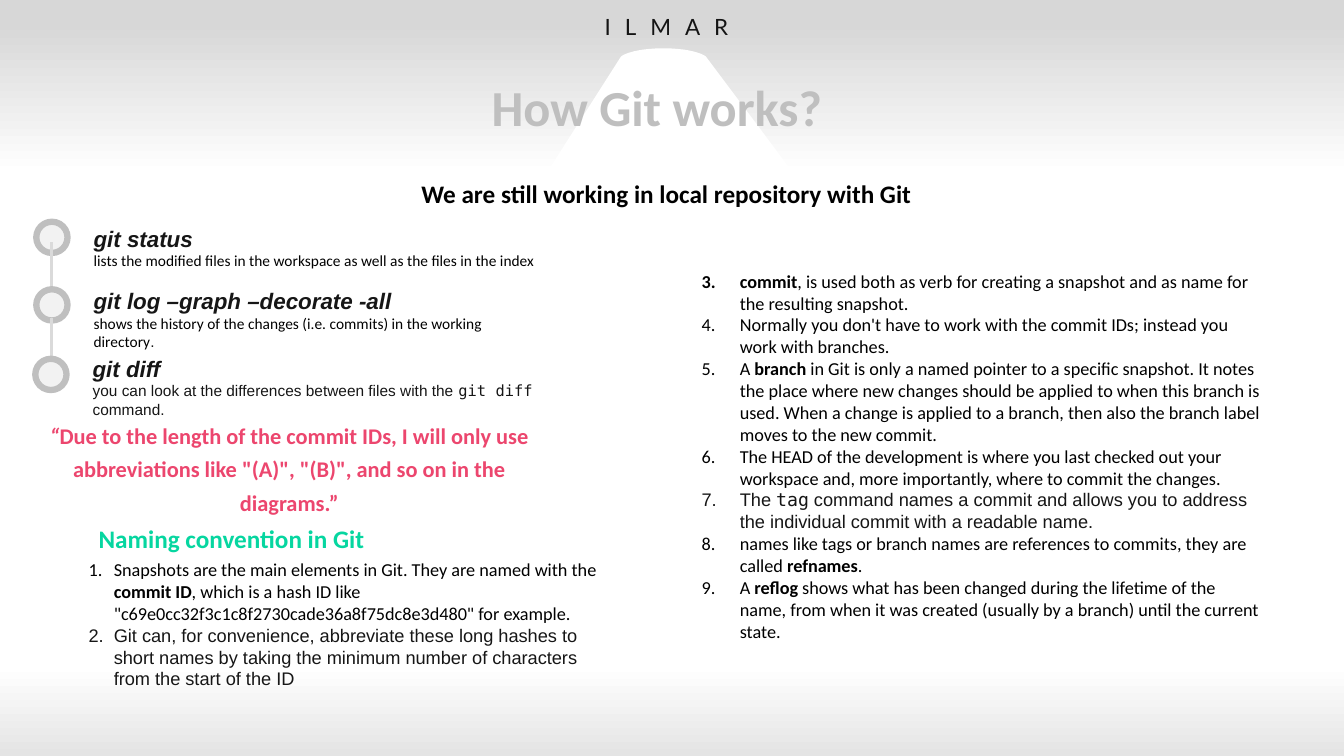
from lxml.etree import SubElement
from pptx import Presentation
from pptx.dml.color import RGBColor
from pptx.enum.shapes import MSO_CONNECTOR as CONN, MSO_SHAPE as SHAPE
from pptx.enum.text import MSO_ANCHOR as ANCHOR, MSO_AUTO_SIZE as FIT, PP_ALIGN as ALIGN
from pptx.oxml.ns import qn
from pptx.util import Inches, Pt

MONO = "DejaVu Sans Mono"
DARK, BLACK, PALE, GREY = "161616", "000000", "DADADA", "BFBFBF"

# Run styles
PLAIN = dict(font="Calibri", color=BLACK)
BOLD = dict(PLAIN, bold=True)
SANS = dict(font="Arial", color=DARK)
CODE = dict(font=MONO, color=DARK)
COMMAND = dict(SANS, size=16, bold=True, italic=True)
QUOTE = dict(font="Calibri", color="EC466E", bold=True)


def rgb(value):
    return RGBColor.from_string(value)


class Deck:
    def __init__(self, prs):
        self.s = prs.slides.add_slide(prs.slide_layouts[5])

    def background(self, stops):
        fill = self.s.background.fill
        fill.gradient()
        fill.gradient_angle = 270
        gs_lst = self.s._element.find(".//" + qn("a:gsLst"))
        for gs in list(gs_lst):
            gs_lst.remove(gs)
        for pos, color in stops:
            gs = SubElement(gs_lst, qn("a:gs"), pos=str(pos * 1000))
            SubElement(gs, qn("a:srgbClr"), val=color)

    def style(self, sp, fill, line=None, width=0):
        sp.shadow.inherit = False
        sp.fill.solid()
        sp.fill.fore_color.rgb = rgb(fill)
        if line:
            sp.line.color.rgb = rgb(line)
            sp.line.width = Pt(width)
        else:
            sp.line.fill.background()

    def outline(self, points, fill):
        pts = [(Inches(x), Inches(y)) for x, y in points]
        fb = self.s.shapes.build_freeform(*pts[0])
        fb.add_line_segments(pts[1:], close=True)
        self.style(fb.convert_to_shape(), fill)

    def ring(self, x, y, size):
        sp = self.s.shapes.add_shape(SHAPE.OVAL, *map(Inches, (x, y, size, size)))
        self.style(sp, "F2F2F2", GREY, 4.5)

    def line(self, x, y1, y2):
        c = self.s.shapes.add_connector(CONN.STRAIGHT, *map(Inches, (x, y1, x, y2)))
        c.line.color.rgb = rgb(PALE)
        c.line.width = Pt(2.25)
        SubElement(c._element.spPr, qn("a:effectLst"))

    def title(self, x, y, w, h, text, **fmt):
        sp = self.s.shapes.title
        self.s.shapes._spTree.append(sp._element)
        sp.left, sp.top, sp.width, sp.height = map(Inches, (x, y, w, h))
        self.fill_text(sp.text_frame, [[(text, fmt)]], align=ALIGN.CENTER)
        return sp.text_frame.paragraphs[0].runs[0]

    def text(self, x, y, w, h, paras, **fmt):
        sp = self.s.shapes.add_textbox(*map(Inches, (x, y, w, h)))
        self.fill_text(sp.text_frame, paras, **fmt)

    def fill_text(self, tf, paras, size=None, align=None, spacing=None,
                  left=0, right=0, hang=0, start=None):
        tf.word_wrap = True
        tf.auto_size = FIT.SHAPE_TO_FIT_TEXT
        tf.vertical_anchor = ANCHOR.TOP
        for i, runs in enumerate(paras):
            p = tf.paragraphs[0] if i == 0 else tf.add_paragraph()
            pPr = p._p.get_or_add_pPr()
            for key, value in (("marL", left), ("marR", right), ("indent", -hang)):
                if value:
                    pPr.set(key, str(Inches(value)))
            if start:
                SubElement(pPr, qn("a:buAutoNum"), type="arabicPeriod", startAt=str(start))
            if align:
                p.alignment = align
            if spacing:
                p.line_spacing = spacing
            for text, fmt in runs:
                self.run(p, text, **{"size": size, **fmt})

    def run(self, p, text, size, font, color, bold=False, italic=False, track=0):
        r = p.add_run()
        r.text = text
        f = r.font
        f.size, f.name, f.bold, f.italic = Pt(size), font, bold, italic
        f.color.rgb = rgb(color)
        if track:
            r._r.get_or_add_rPr().set("spc", str(track * 100))


def bezier(a, b, c, d, steps=12):
    for i in range(1, steps + 1):
        t = i / steps
        u = 1 - t
        yield tuple(u**3 * j + 3 * u * u * t * k + 3 * u * t * t * m + t**3 * n
                    for j, k, m, n in zip(a, b, c, d))


def main():
    prs = Presentation()
    prs.slide_width, prs.slide_height = Inches(13.33), Inches(7.5)
    deck = Deck(prs)
    deck.background([(3, "D7D7D7"), (23, "FFFFFF"), (88, "FFFFFF"), (100, "E4E4E4")])

    # Spotlight behind the heading
    left, right, top = (6.16, 0.56), (7, 0.56), (6.58, 0.48)
    deck.outline([left, (5.19, 2.08), (8.14, 2.08), right,
                  *bezier(right, right, (6.9, 0.48), top),
                  *bezier(top, (6.26, 0.48), left, left)], "FFFFFF")

    # Headings
    deck.text(4.3, 0.08, 4.62, 0.37,
              [[("ILMAR", dict(font="Lato", color="141414", track=10))]],
              size=16, align=ALIGN.CENTER)
    r = deck.title(1.22, 0.7, 10.59, 0.71, "How Git works?",
                   font="Calibri", size=36, color=GREY, bold=True)
    rPr = r._r.get_or_add_rPr()
    ln = SubElement(rPr, qn("a:ln"), w=str(Pt(0.75)))
    SubElement(SubElement(ln, qn("a:solidFill")), qn("a:srgbClr"), val=PALE)
    rPr.insert(0, ln)
    deck.text(4.08, 1.72, 5.38, 0.4,
              [[("We are still working in local repository with Git", BOLD)]], size=18)

    # Commands on a timeline: ring, text box, line to the next ring
    commands = [
        ((0.36, 2.2), (0.83, 2.18, 4.61, 0.56), (2.87, 2.4), "git status",
         [("lists the modified files in the workspace as well as the files in the index", PLAIN)]),
        ((0.36, 2.87), (0.83, 2.8, 4.61, 0.74), (3.58, 3.15), "git log –graph –decorate -all",
         [("shows the history of the changes (i.e. commits) in the working directory", PLAIN),
          (".", SANS)]),
        ((0.35, 3.56), (0.82, 3.47, 5.01, 0.56), None, "git diff",
         [("you can look at the differences between files with the ", SANS),
          ("git diff", CODE), (" command.", SANS)]),
    ]
    for ring, box, link, name, about in commands:
        deck.ring(*ring, 0.31)
        deck.text(*box, [[(name, COMMAND)], about], size=11)
        if link:
            deck.line(0.51, *link)

    # Quote and section heading
    deck.text(-0.21, 4.07, 6.16, 1.09,
              [[("“", dict(QUOTE, italic=True)),
                ('Due to the length of the commit IDs, I will only use abbreviations like '
                 '"(A)", "(B)", and so on in the diagrams.”', QUOTE)]],
              size=16, align=ALIGN.CENTER, spacing=1.25, left=0.5, right=0.5)
    deck.text(0.38, 5.07, 4.5, 0.45,
              [[("Naming convention in Git", dict(BOLD, color="06D6A0"))]],
              size=18, spacing=1.25, left=0.5)

    # Numbered notes, continued in the right column
    deck.text(0.78, 5.49, 5.25, 1.63, [
        [("Snapshots are the main elements in Git. They are named with the ", PLAIN),
         ("commit ID", BOLD),
         (', which is a hash ID like "c69e0cc32f3c1c8f2730cade36a8f75dc8e3d480" for example.',
          PLAIN)],
        [("Git can, for convenience, abbreviate these long hashes to short names by taking "
          "the minimum number of characters from the start of the ID", SANS)],
    ], size=13, left=0.25, hang=0.25, start=1)
    deck.text(6.86, 2.63, 5.77, 4.04, [
        [("commit", BOLD),
         (", is used both as verb for creating a snapshot and as name for the resulting "
          "snapshot.", PLAIN)],
        [("Normally you don't have to work with the commit IDs; instead you work with "
          "branches.", PLAIN)],
        [("A ", PLAIN), ("branch", BOLD),
         (" in Git is only a named pointer to a specific snapshot. It notes the place where "
          "new changes should be applied to when this branch is used. When a change is "
          "applied to a branch, then also the branch label moves to the new commit.", PLAIN)],
        [("The HEAD of the development is where you last checked out your workspace and, "
          "more importantly, where to commit the changes.", PLAIN)],
        [("The ", SANS), ("tag", CODE),
         (" command names a commit and allows you to address the individual commit with a "
          "readable name.", SANS)],
        [("names like tags or branch names are references to commits, they are called ", PLAIN),
         ("refnames", BOLD), (".", PLAIN)],
        [("A ", PLAIN), ("reflog", BOLD),
         (" shows what has been changed during the lifetime of the name, from when it was "
          "created (usually by a branch) until the current state.", PLAIN)],
    ], size=13, left=0.38, hang=0.38, start=3)

    prs.save("out.pptx")


if __name__ == "__main__":
    main()
